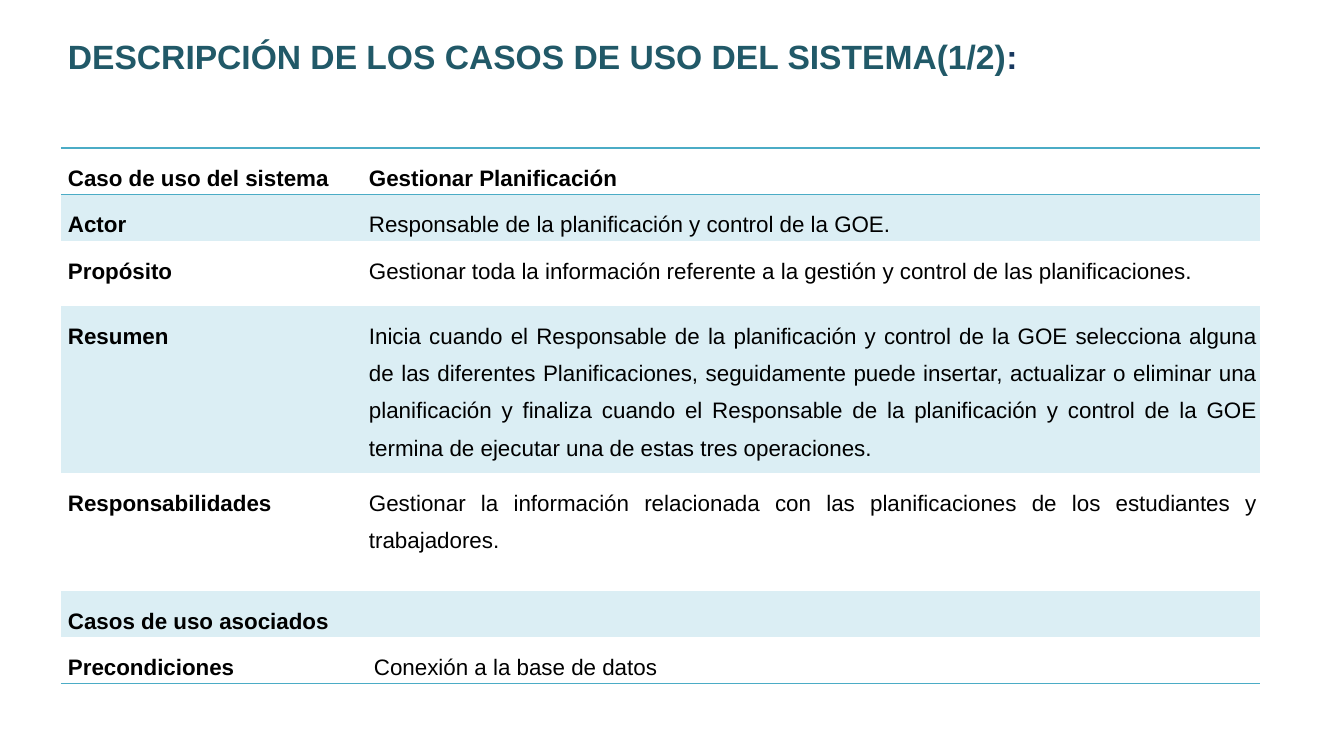
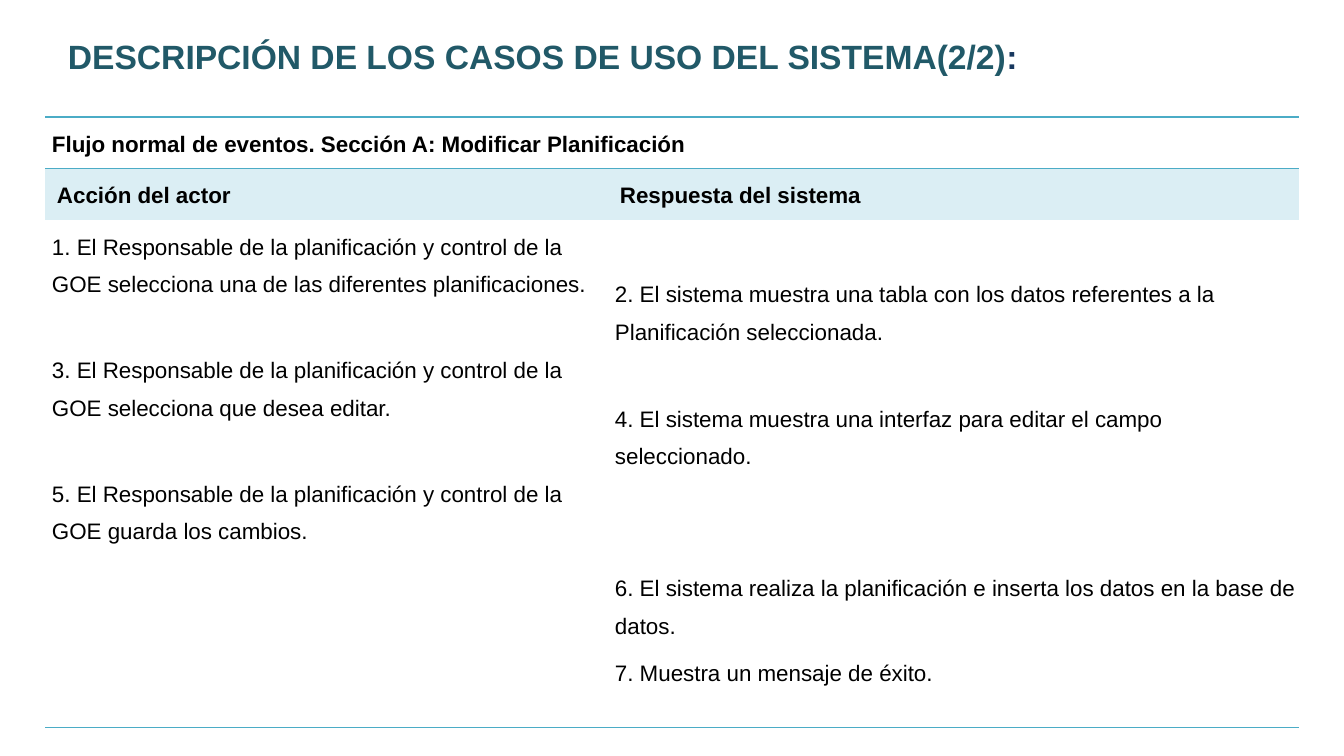
from lxml import etree
from pptx import Presentation
from pptx import util as u
from pptx.dml.color import RGBColor
from pptx.enum import text
from pptx.oxml import ns

SCALE = 914400 / 100.8  # EMU in one px
FONT = "Arial"
TEAL = RGBColor(0x21, 0x59, 0x68)
NAVY = RGBColor(0x17, 0x37, 0x5E)
BLACK = RGBColor(0, 0, 0)
RULE = RGBColor(0x4B, 0xAC, 0xC6)
BAND = RGBColor(0xDB, 0xEE, 0xF4)
PLAIN_STYLE = "{2D5ABB26-0587-4C30-8999-92F81FD0307C}"
JUSTIFY, LEFT = text.PP_ALIGN.JUSTIFY, text.PP_ALIGN.LEFT

# Content: a cell is one text, or a list of (points before, text)
TITLE = "DESCRIPCIÓN DE LOS CASOS DE USO DEL SISTEMA"
USE_CASE = [
    ("Caso de uso del sistema", "Gestionar Planificación"),
    ("Actor", "Responsable de la planificación y control de la GOE."),
    ("Propósito", "Gestionar toda la información referente a la gestión y "
                  "control de las planificaciones."),
    ("Resumen", "Inicia cuando el Responsable de la planificación y control de "
                "la GOE selecciona alguna de las diferentes Planificaciones, "
                "seguidamente puede insertar, actualizar o eliminar una "
                "planificación y finaliza cuando el Responsable de la "
                "planificación y control de la GOE termina de ejecutar una de "
                "estas tres operaciones."),
    ("Responsabilidades", "Gestionar la información relacionada con las "
                          "planificaciones de los estudiantes y trabajadores."),
    ("Casos de uso asociados", ""),
    ("Precondiciones", "Conexión a la base de datos"),
]
ACTOR_STEPS = [
    (0, "1. El Responsable de la planificación y control de la GOE selecciona "
        "una de las diferentes planificaciones."),
    (35, "3. El Responsable de la planificación y control de la GOE selecciona "
         "que desea editar."),
    (35, "5. El Responsable de la planificación y control de la GOE guarda los "
         "cambios."),
]
SYSTEM_STEPS = [
    (0, "2. El sistema muestra una tabla con los datos referentes a la"),
    (1, "Planificación seleccionada."),
    (35, "4. El sistema muestra una interfaz para editar el campo"),
    (0, "seleccionado."),
    (68, "6. El sistema realiza la planificación e inserta los datos en la base "
         "de datos."),
    (7, "7. Muestra un mensaje de éxito."),
]
EVENT_FLOW = [
    ("Flujo normal de eventos. Sección A: Modificar Planificación", ""),
    ("Acción del actor", "Respuesta del sistema"),
    (ACTOR_STEPS, SYSTEM_STEPS),
]

# Layout in px; insets are left, top, right, bottom; shifts move text right, down
SLIDES = [
    dict(part="(1/2)", rows=USE_CASE, left=61, top=148, widths=[301, 898],
         heights=[44, 43, 65, 155, 118, 44, 43], inset=(7, 6, 3, 0),
         align=JUSTIFY, bold=lambda row, col: row == 0 or col == 0,
         shifts={(6, 1): (5, 0)}, merge_top=False),
    dict(part="(2/2)", rows=EVENT_FLOW, left=45, top=117, widths=[563, 691],
         heights=[49, 49, 508], inset=(7, 3, 3, 8),
         align=LEFT, bold=lambda row, col: row < 2,
         shifts={(1, 0): (5, 0), (1, 1): (5, 0), (2, 1): (0, 47)},
         merge_top=True),
]


def px(n):
    return u.Emu(round(n * SCALE))


def add_text(p, content, size=16, color=BLACK, bold=False, align=LEFT,
             spacing=1.0, before=0):
    p.alignment, p.line_spacing, p.space_before = align, spacing, u.Pt(before)
    r = p.add_run()
    r.text = content
    r.font.name, r.font.size, r.font.bold = FONT, u.Pt(size), bold
    r.font.color.rgb = color


def add_title(s, part):
    tf = s.shapes.add_textbox(px(58), px(12), px(1126), px(88)).text_frame
    tf.word_wrap = True
    tf.vertical_anchor = text.MSO_ANCHOR.MIDDLE
    p = tf.paragraphs[0]
    add_text(p, TITLE + part, size=24, color=TEAL, bold=True)
    add_text(p, ":", size=24, color=NAVY, bold=True)


def add_borders(cell, sides):
    tc_pr = cell._tc.get_or_add_tcPr()
    for i, side in enumerate(sides):
        ln = etree.Element(ns.qn(f"a:ln{side}"), w=str(u.Pt(1)))
        fill = etree.SubElement(ln, ns.qn("a:solidFill"))
        etree.SubElement(fill, ns.qn("a:srgbClr"), val=str(RULE))
        tc_pr.insert(i, ln)


def fill_cell(cell, content, inset, shift, **fmt):
    left, top, right, bottom = inset
    cell.margin_left, cell.margin_top = px(left + shift[0]), px(top + shift[1])
    cell.margin_right, cell.margin_bottom = px(right), px(bottom)
    paragraphs = [(0, content)] if isinstance(content, str) else content
    tf = cell.text_frame
    for i, (before, line) in enumerate(paragraphs):
        p = tf.add_paragraph() if i else tf.paragraphs[0]
        if line:
            add_text(p, line, before=before, spacing=1.5, **fmt)


def add_case_table(s, d):
    rows, widths, heights = d["rows"], d["widths"], d["heights"]
    table = s.shapes.add_table(len(rows), len(widths), px(d["left"]), px(d["top"]),
                               px(sum(widths)), px(sum(heights))).table
    table.first_row = table.horz_banding = False
    table._tbl.tblPr.find(ns.qn("a:tableStyleId")).text = PLAIN_STYLE
    for column, width in zip(table.columns, widths):
        column.width = px(width)
    for i, (row, height) in enumerate(zip(rows, heights)):
        table.rows[i].height = px(height)
        for j, content in enumerate(row):
            cell = table.cell(i, j)
            fill_cell(cell, content, d["inset"], d["shifts"].get((i, j), (0, 0)),
                      bold=d["bold"](i, j), align=d["align"])
            # Odd rows are tinted; rules close the heading and the last row
            if i % 2:
                cell.fill.solid()
                cell.fill.fore_color.rgb = BAND
            else:
                cell.fill.background()
            add_borders(cell, "TB" if i == 0 else "B" if i == len(rows) - 1 else "")
    if d["merge_top"]:
        table.cell(0, 0).merge(table.cell(0, len(widths) - 1))


def main():
    prs = Presentation()
    prs.slide_width, prs.slide_height = px(1344), px(756)
    for d in SLIDES:
        s = prs.slides.add_slide(prs.slide_layouts[6])
        add_title(s, d["part"])
        add_case_table(s, d)
    prs.save("out.pptx")


if __name__ == "__main__":
    main()
